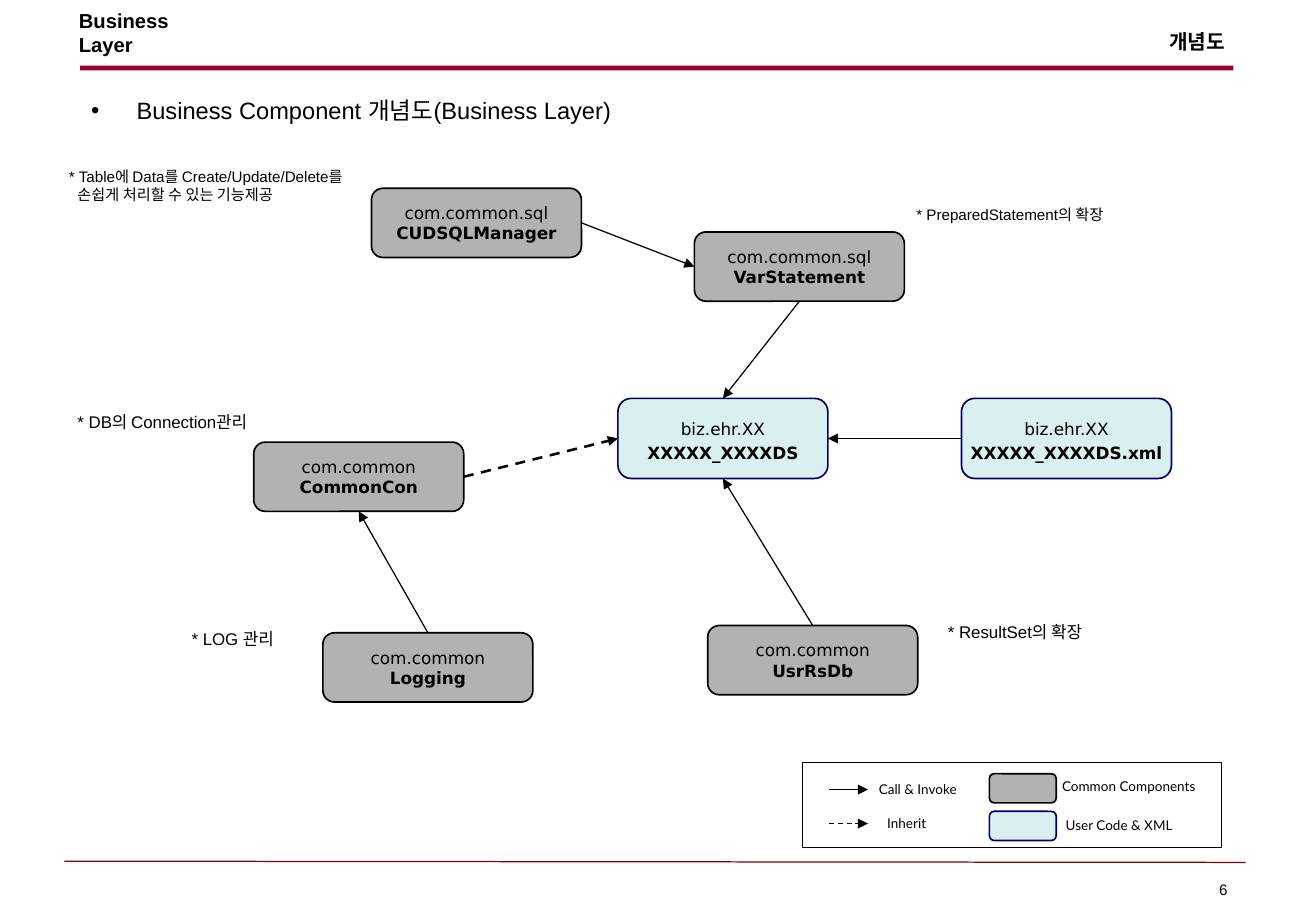
from lxml.etree import SubElement
from pptx import Presentation
from pptx.dml.color import RGBColor
from pptx.enum.dml import MSO_LINE
from pptx.enum.shapes import MSO_CONNECTOR, MSO_SHAPE
from pptx.enum.text import MSO_ANCHOR, MSO_AUTO_SIZE, PP_ALIGN
from pptx.oxml.ns import qn
from pptx.util import Inches, Pt

BLACK, GREY, AQUA, NAVY = "000000", "B2B2B2", "DCEFF0", "000066"
BOX_WIDTH = 1.73
COMMON = dict(height=0.57, fill=GREY, line=BLACK, spacing=1.0)
USER = dict(height=0.66, fill=AQUA, line=NAVY, spacing=1.2)
TOP, LEFT, BOTTOM, RIGHT = range(4)  # connection sites of a box

# name: (package, left, top, style)
COMPONENTS = {
    "CommonCon": ("com.common", 2.09, 3.64, COMMON),
    "CUDSQLManager": ("com.common.sql", 3.06, 1.55, COMMON),
    "VarStatement": ("com.common.sql", 5.72, 1.91, COMMON),
    "Logging": ("com.common", 2.66, 5.21, COMMON),
    "UsrRsDb": ("com.common", 5.83, 5.15, COMMON),
    "XXXXX_XXXXDS": ("biz.ehr.XX", 5.09, 3.28, USER),
    "XXXXX_XXXXDS.xml": ("biz.ehr.XX", 7.92, 3.28, USER),
}
# source, its site, target, its site, inherits
LINKS = [
    ("Logging", TOP, "CommonCon", BOTTOM, False),
    ("CommonCon", RIGHT, "XXXXX_XXXXDS", LEFT, True),
    ("CUDSQLManager", RIGHT, "VarStatement", LEFT, False),
    ("VarStatement", BOTTOM, "XXXXX_XXXXDS", TOP, False),
    ("UsrRsDb", TOP, "XXXXX_XXXXDS", BOTTOM, False),
    ("XXXXX_XXXXDS.xml", LEFT, "XXXXX_XXXXDS", RIGHT, False),
]
# text, place, size
NOTES = [
    ("* Table에 Data를 Create/Update/Delete를\v손쉽게 처리할 수 있는 기능제공", (0.47, 1.33, 2.63, 0.4), 9),
    ("* PreparedStatement의 확장", (7.45, 1.64, 1.77, 0.25), 9),
    ("* DB의 Connection관리", (0.54, 3.34, 1.7, 0.27), 10),
    ("* LOG 관리", (1.48, 5.13, 0.91, 0.27), 10),
    ("* ResultSet의 확장", (7.71, 5.07, 1.34, 0.27), 10),
]
LEGEND_LABELS = [
    ("Call & Invoke", (7.14, 6.38, 0.88, 0.24)),
    ("Inherit", (7.21, 6.66, 0.55, 0.24)),
    ("Common Components", (8.65, 6.36, 1.38, 0.24)),
    ("User Code & XML", (8.68, 6.68, 1.11, 0.24)),
]


def color(code):
    return RGBColor.from_string(code)


def inches(place):
    return [Inches(value) for value in place]


def set_font(para, name, size, bold=False):
    font = para.font
    font.name, font.size, font.bold = name, Pt(size), bold
    font.color.rgb = color(BLACK)


def write(box, text, size, name="Arial", bold=False, align=PP_ALIGN.LEFT,
          anchor=MSO_ANCHOR.TOP, wrap=False, margin=0.05):
    frame = box.text_frame
    frame.text = text
    frame.auto_size = MSO_AUTO_SIZE.NONE
    frame.word_wrap = wrap
    frame.vertical_anchor = anchor
    frame.margin_top = frame.margin_bottom = Inches(margin)
    para = frame.paragraphs[0]
    para.alignment = align
    para.space_before = Pt(0)
    set_font(para, name, size, bold)
    return para


def add_text(page, text, place, size, **style):
    return write(page.shapes.add_textbox(*inches(place)), text, size, **style)


def place_text(holder, text, place, size, **style):
    holder.left, holder.top, holder.width, holder.height = inches(place)
    return write(holder, text, size, **style)


def set_hanging(para, indent):
    props = para._p.get_or_add_pPr()
    props.set("marL", str(Inches(indent)))
    props.set("indent", str(-Inches(indent)))
    return props


def set_square_bullet(para):
    props = set_hanging(para, 0.19)
    tint = SubElement(props, qn("a:buClr"))
    SubElement(tint, qn("a:srgbClr"), val=BLACK)
    SubElement(props, qn("a:buSzPct"), val="95000")
    SubElement(props, qn("a:buFont"), typeface="Arial")
    SubElement(props, qn("a:buChar"), char="■")


def add_box(page, kind, place, fill=None, line=None, width=1):
    box = page.shapes.add_shape(kind, *inches(place))
    box.shadow.inherit = False
    if fill:
        box.fill.solid()
        box.fill.fore_color.rgb = color(fill)
    else:
        box.fill.background()
    if line:
        box.line.color.rgb = color(line)
        box.line.width = Pt(width)
    else:
        box.line.fill.background()
    return box


def add_component(page, name, package, left, top, style):
    box = add_box(page, MSO_SHAPE.ROUNDED_RECTANGLE,
                  (left, top, BOX_WIDTH, style["height"]), style["fill"], style["line"])
    frame = box.text_frame
    frame.word_wrap = False
    frame.vertical_anchor = MSO_ANCHOR.MIDDLE
    frame.text = f"{package}\n{name}"
    for para, bold in zip(frame.paragraphs, (False, True)):
        para.alignment = PP_ALIGN.CENTER
        para.line_spacing = style["spacing"]
        set_font(para, "DejaVu Sans", 10, bold)
    return box


def add_line(page, ends, code=BLACK, width=0.75, dashed=False, arrow=True):
    line = page.shapes.add_connector(MSO_CONNECTOR.STRAIGHT, *inches(ends))
    line.line.color.rgb = color(code)
    line.line.width = Pt(width)
    if dashed:
        line.line.dash_style = MSO_LINE.DASH
    if arrow:
        SubElement(line.line._get_or_add_ln(), qn("a:tailEnd"), type="triangle")
    SubElement(line._element.spPr, qn("a:effectLst"))
    return line


def add_frame(page):
    # Header, heading and footer
    add_box(page, MSO_SHAPE.RECTANGLE, (0.66, 0.54, 9.5, 0.04), "990033")
    add_line(page, (0.53, 7.09, 10.26, 7.1), "800000", arrow=False)
    add_text(page, "6", (9.37, 7.2, 0.84, 0.25), 9,
             align=PP_ALIGN.RIGHT, anchor=MSO_ANCHOR.BOTTOM)
    place_text(page.shapes.title, "Business Layer", (0.55, 0.25, 1.43, 0.24), 12,
               bold=True, anchor=MSO_ANCHOR.BOTTOM, margin=0.02)
    add_text(page, "개념도", (9.53, 0.19, 0.66, 0.3), 12, bold=True,
             align=PP_ALIGN.RIGHT, anchor=MSO_ANCHOR.BOTTOM)
    body = page.placeholders[1]
    body.text_frame.text = ""
    set_square_bullet(body.text_frame.paragraphs[0])
    place_text(body, "Business Component 개념도(Business Layer)",
               (0.65, 0.74, 9.73, 0.59), 14, wrap=True)


def add_diagram(page):
    # Components and the links between them
    boxes = {name: add_component(page, name, *details)
             for name, details in COMPONENTS.items()}
    for source, start, target, end, inherits in LINKS:
        link = add_line(page, (0, 0, 1, 1), width=1.5 if inherits else 0.75, dashed=inherits)
        link.begin_connect(boxes[source], start)
        link.end_connect(boxes[target], end)
    # Notes beside the components
    for text, place, size in NOTES:
        set_hanging(add_text(page, text, place, size, wrap=True), 0.07)


def add_legend(page):
    add_box(page, MSO_SHAPE.RECTANGLE, (6.61, 6.28, 3.45, 0.7), line=BLACK, width=0.75)
    for top, style in ((6.37, COMMON), (6.68, USER)):
        add_box(page, MSO_SHAPE.ROUNDED_RECTANGLE, (8.15, top, 0.55, 0.24),
                style["fill"], style["line"])
    for height, dashed in ((6.5, False), (6.78, True)):
        add_line(page, (6.83, height, 7.15, height), dashed=dashed)
    for text, place in LEGEND_LABELS:
        add_text(page, text, place, 8, name="Lato")


def main():
    deck = Presentation()
    deck.slide_width, deck.slide_height = Inches(10.84), Inches(7.5)
    page = deck.slides.add_slide(deck.slide_layouts[1])
    add_frame(page)
    add_diagram(page)
    add_legend(page)
    deck.save("out.pptx")


if __name__ == "__main__":
    main()
